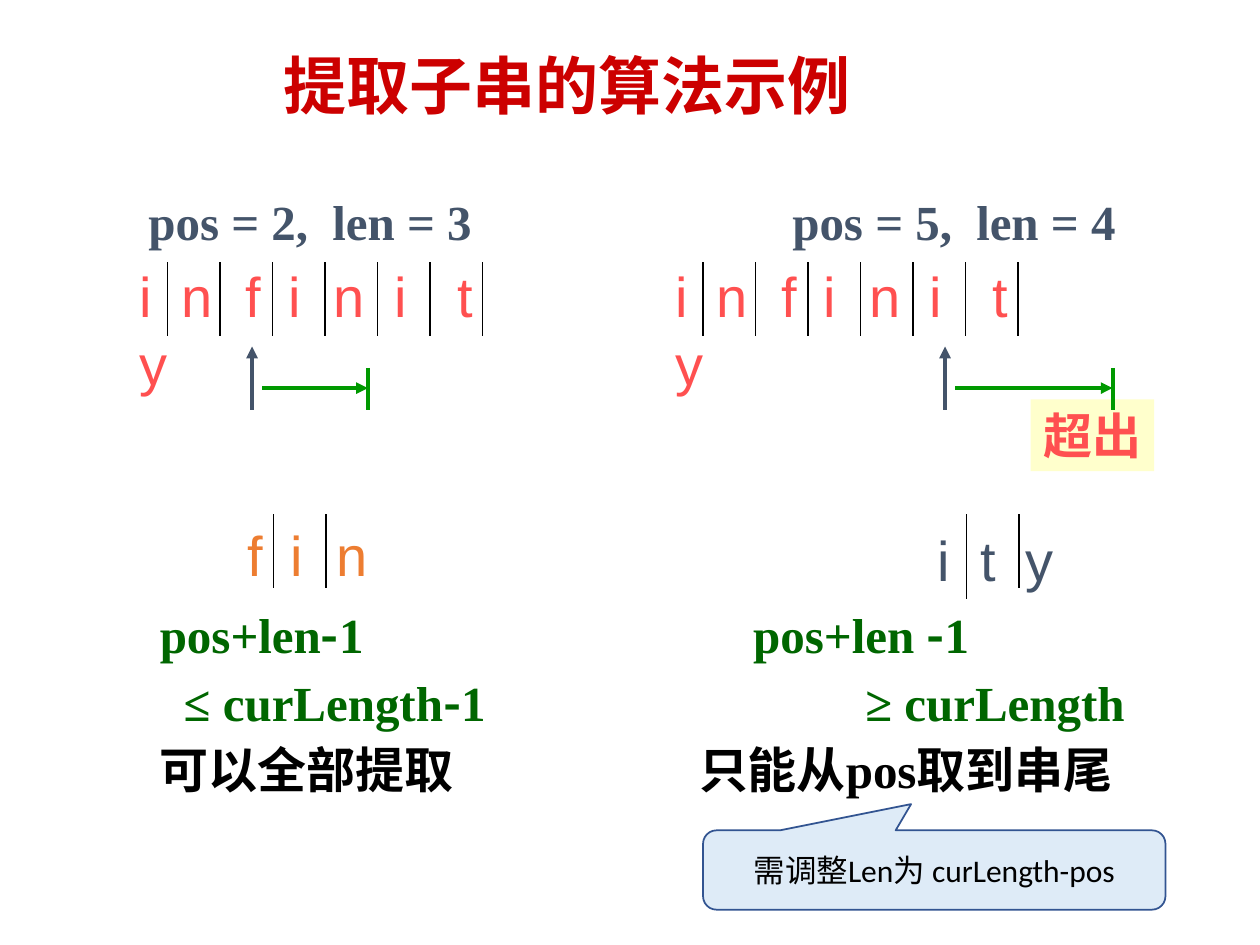
from dataclasses import dataclass

import pptx
import pptx.dml.color
import pptx.enum.shapes
import pptx.enum.text
import pptx.oxml.ns
import pptx.util
from lxml import etree

Inches = pptx.util.Inches
Pt = pptx.util.Pt
qn = pptx.oxml.ns.qn
Shape = pptx.enum.shapes.MSO_SHAPE
Anchor = pptx.enum.text.MSO_ANCHOR
Align = pptx.enum.text.PP_ALIGN


@dataclass(frozen=True)
class Theme:
    title: str = "CC0000"
    letter: str = "FF5050"
    slate: str = "44546A"
    orange: str = "ED7D31"
    reach: str = "009900"
    condition: str = "006600"
    ink: str = "000000"
    warning_fill: str = "FFFFCC"
    callout_fill: str = "DEEBF7"
    callout_line: str = "325491"
    sans: str = "Arial"
    serif: str = "Times New Roman"
    body: str = "Calibri"
    cjk: str = "Noto Sans CJK SC"
    title_size: int = 36
    letter_size: int = 32
    text_size: int = 28
    note_size: int = 18


THEME = Theme()
CELL = 5 / 12  # width of one character cell
LETTER_TABS = (0.33, 0.84, 1.18, 1.54, 2.02, 2.52)
SHORT_TABS = (0.34, 0.7)


def rgb(value):
    return pptx.dml.color.RGBColor.from_string(value)


def style(para, size, name, color, bold=False, tabs=()):
    """Set tab stops first, then the paragraph font."""
    if tabs:
        stops = etree.SubElement(para._p.get_or_add_pPr(), qn("a:tabLst"))
        for stop in tabs:
            etree.SubElement(stops, qn("a:tab"), pos=str(Inches(stop)), algn="l")
    font = para.font
    font.size, font.name, font.bold = Pt(size), name, bold
    font.color.rgb = rgb(color)


def add_text(page, text, left, top, width, height, size, name, color,
             bold=False, tabs=()):
    box = page.shapes.add_textbox(
        Inches(left), Inches(top), Inches(width), Inches(height))
    box.text_frame.word_wrap = True
    para = box.text_frame.paragraphs[0]
    para.text = text
    style(para, size, name, color, bold, tabs)
    return box


def add_letters(page, text, left, top, width, color, tabs):
    add_text(page, text, left, top, width, 0.63, THEME.letter_size, THEME.sans,
             color, tabs=tabs)


def add_line(page, start, end, color, weight, arrow=False):
    line = page.shapes.add_connector(
        pptx.enum.shapes.MSO_CONNECTOR.STRAIGHT,
        Inches(start[0]), Inches(start[1]), Inches(end[0]), Inches(end[1]))
    line.line.color.rgb = rgb(color)
    line.line.width = Pt(weight)
    if arrow:
        etree.SubElement(line.line._get_or_add_ln(), qn("a:tailEnd"), type="triangle")
    etree.SubElement(line._element.spPr, qn("a:effectLst"))


def add_dividers(page, first, top, bottoms):
    for index, bottom in enumerate(bottoms):
        x = first + index * CELL
        add_line(page, (x, top), (x, bottom), THEME.ink, 0.75)


def add_panel(page, kind, left, top, width, height, fill, text, size, name,
              color, bold=False):
    panel = page.shapes.add_shape(
        kind, Inches(left), Inches(top), Inches(width), Inches(height))
    panel.shadow.inherit = False
    panel.fill.solid()
    panel.fill.fore_color.rgb = rgb(fill)
    panel.line.fill.background()
    para = panel.text_frame.paragraphs[0]
    para.text = text
    para.alignment = Align.CENTER
    style(para, size, name, color, bold)
    return panel


def add_source_string(page, left, heading, heading_left):
    """Heading, letters and cell dividers of the full string."""
    add_text(page, heading, heading_left, 1.47, 2.77, 0.57, THEME.text_size,
             THEME.serif, THEME.slate, True, (1.46,))
    add_letters(page, "i\tn\tf\ti\tn\ti\tt\vy", left, 2.03, 3.31,
                THEME.letter, LETTER_TABS)
    add_dividers(page, left + 0.32, 2.08, [2.67] * 7)


def add_reach(page, start, end):
    """Arrow at pos, and the span of len characters up to its end mark."""
    add_line(page, (start, 3.25), (start, 2.75), THEME.slate, 2.25, True)
    add_line(page, (start + 0.08, 3.08), (end, 3.08), THEME.reach, 2.25, True)
    add_line(page, (end, 2.92), (end, 3.25), THEME.reach, 2.25)


def add_conditions(page):
    """Both conditions and conclusions, set in two tabbed columns."""
    rows = (
        ("pos+len-1\tpos+len -1", (4.71,), THEME.condition),
        ("\t≤ curLength-1\t≥ curLength", (0.19, 5.6), THEME.condition),
        ("可以全部提取\t只能从pos取到串尾", (4.28,), THEME.ink),
    )
    box = page.shapes.add_textbox(Inches(1.17), Inches(4.75), Inches(8.7), Inches(1.64))
    frame = box.text_frame
    frame.word_wrap = True
    for index, (text, tabs, color) in enumerate(rows):
        para = frame.add_paragraph() if index else frame.paragraphs[0]
        style(para, THEME.text_size, THEME.serif, color, True, tabs)
        if index:
            para.space_before = Pt(5)
        # Minus signs take the sans font
        for number, part in enumerate(text.split("-")):
            if number:
                minus = para.add_run()
                minus.text = "-"
                minus.font.name = THEME.cjk
            span = para.add_run()
            span.text = part


def main():
    deck = pptx.Presentation()
    deck.slide_width, deck.slide_height = Inches(10), Inches(7.5)
    page = deck.slides.add_slide(deck.slide_layouts[6])

    # Title
    title = add_text(page, "提取子串的算法示例", 2.15, 0.4, 5.83, 0.62,
                     THEME.title_size, THEME.body, THEME.title, True)
    title.text_frame.vertical_anchor = Anchor.MIDDLE
    title.text_frame.paragraphs[0].line_spacing = 0.9

    # Conditions under both examples
    add_conditions(page)

    # Left example: the substring fits
    add_source_string(page, 1.01, "pos = 2,\tlen = 3", 1.08)
    add_reach(page, 2, 2.92)
    add_dividers(page, 2.17, 4.08, [4.67] * 2)
    add_letters(page, "f\ti\tn", 1.87, 4.08, 1.16, THEME.orange, SHORT_TABS)

    # Right example: the substring runs past the end
    add_source_string(page, 5.26, "pos = 5,\tlen = 4", 6.19)
    add_panel(page, Shape.RECTANGLE, 8.18, 3.17, 0.98, 0.57, THEME.warning_fill,
              "超出", THEME.text_size, THEME.serif, THEME.letter, True)
    add_reach(page, 7.5, 8.83)
    add_dividers(page, 7.67, 4.08, [4.75, 4.67])
    add_letters(page, "i\tt\ty", 7.34, 4.12, 1.14, THEME.slate, SHORT_TABS)

    # Callout
    callout = add_panel(page, Shape.ROUNDED_RECTANGULAR_CALLOUT, 5.58, 6.59,
                        3.67, 0.63, THEME.callout_fill, "需调整Len为 curLength-pos",
                        THEME.note_size, THEME.body, THEME.ink)
    for index, value in enumerate((-0.05, -0.83, 0.17)):
        callout.adjustments[index] = value
    callout.line.color.rgb = rgb(THEME.callout_line)
    callout.line.width = Pt(1)

    deck.save("out.pptx")


if __name__ == "__main__":
    main()
